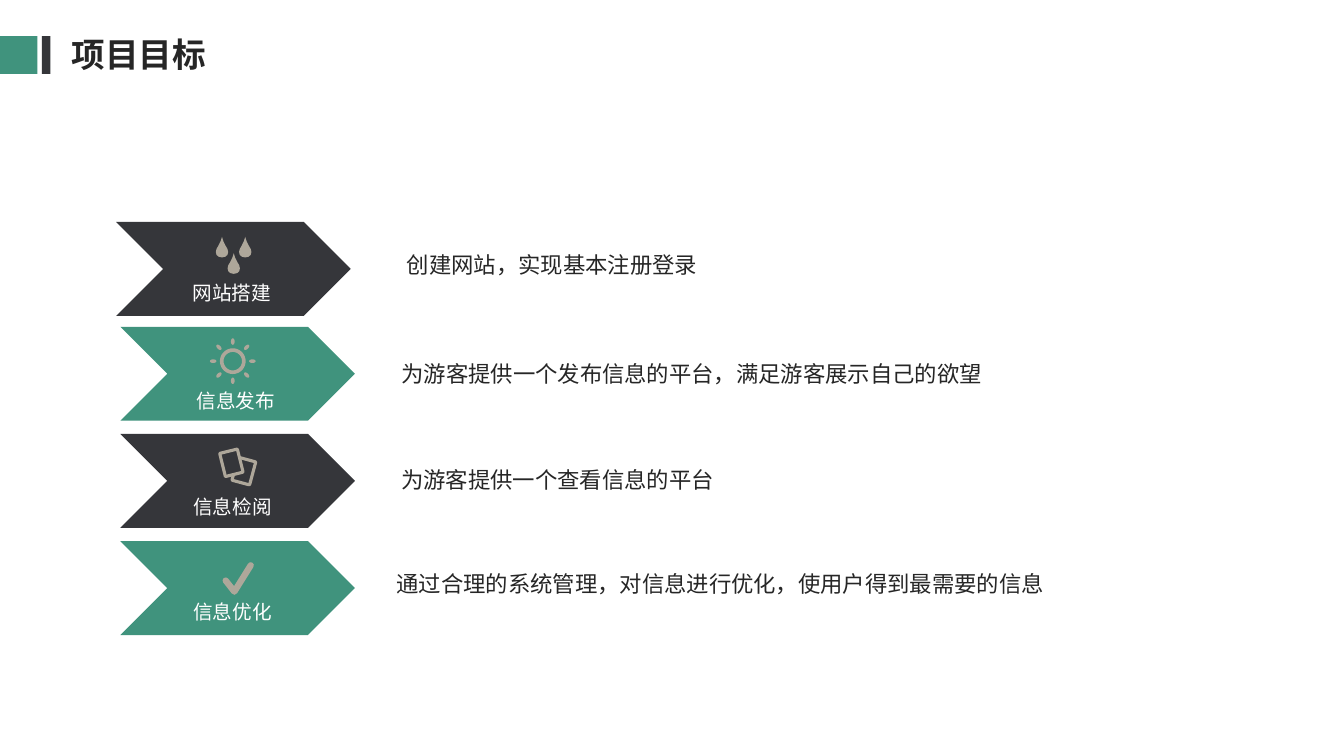
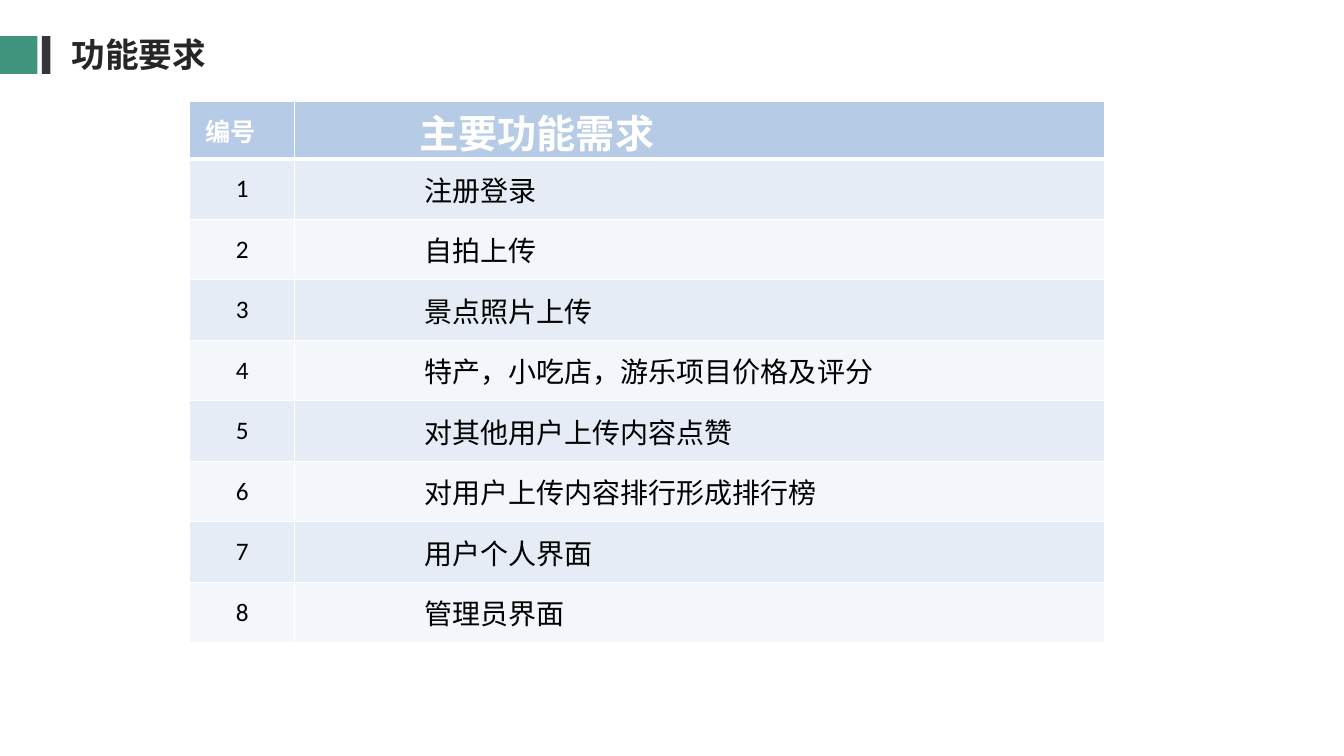
from math import cos, radians, sin

from lxml.etree import SubElement
from pptx import Presentation
from pptx.dml.color import RGBColor
from pptx.enum.shapes import MSO_SHAPE
from pptx.enum.text import MSO_ANCHOR, PP_ALIGN
from pptx.oxml import parse_xml
from pptx.oxml.ns import nsdecls, qn
from pptx.util import Pt

GREEN, DARK, INK = "40937D", "35363A", "262626"
WHITE, BLACK, ICON = "FFFFFF", "000000", "AEA79A"
HEADER_FILL, BAND_FILLS = "B6CBE6", ("E5ECF5", "F3F6FA")
CJK, LATIN = "Noto Sans CJK SC", "Calibri"


def paint(shape, fill=None, line=None, width=0):
    shape.shadow.inherit = False
    if fill:
        shape.fill.solid()
        shape.fill.fore_color.rgb = RGBColor.from_string(fill)
    else:
        shape.fill.background()
    if line:
        shape.line.color.rgb = RGBColor.from_string(line)
        shape.line.width = Pt(width)
    else:
        shape.line.fill.background()


def write(frame, text, size, color, face=CJK, bold=False):
    frame.word_wrap = True
    frame.vertical_anchor = MSO_ANCHOR.MIDDLE
    paragraph = frame.paragraphs[0]
    paragraph.text = text
    font = paragraph.font
    font.name, font.size, font.bold = face, Pt(size), bold
    font.color.rgb = RGBColor.from_string(color)
    east_asian = SubElement(paragraph.runs[0].font._element, qn("a:ea"))
    east_asian.set("typeface", face)
    return paragraph


deck = Presentation()
deck.slide_width, deck.slide_height = Pt(960), Pt(540)

# Shared heading: two bars and a title
slides = []
for title in ("项目目标", "功能要求"):
    slide = deck.slides.add_slide(deck.slide_layouts[6])
    for left, width, color in ((0, 26.8, GREEN), (30, 6, DARK)):
        bar = slide.shapes.add_shape(
            MSO_SHAPE.RECTANGLE, Pt(left), Pt(25.8), Pt(width), Pt(27))
        paint(bar, color)
    heading = slide.shapes.add_textbox(Pt(44), Pt(20.8), Pt(218), Pt(36))
    write(heading.text_frame, title, 24, INK, bold=True)
    slides.append(slide)
goals_slide, functions_slide = slides

# Goals: arrow, label and description per row
# label, goal, colour, arrow left and top, label left and middle, goal left and middle
goals = (
    ("网站搭建", "创建网站，实现基本注册登录",
     DARK, 83, 158.6, 130.6, 209.2, 281.7, 189.1),
    ("信息发布", "为游客提供一个发布信息的平台，满足游客展示自己的欲望",
     GREEN, 86, 233.5, 133.3, 286.3, 277.8, 266.9),
    ("信息检阅", "为游客提供一个查看信息的平台",
     DARK, 86, 310, 131, 362, 277.7, 342.7),
    ("信息优化", "通过合理的系统管理，对信息进行优化，使用户得到最需要的信息",
     GREEN, 86, 386.6, 131, 437, 274.3, 416.9),
)
shapes = goals_slide.shapes
for (label, goal, color, arrow_left, arrow_top,
     label_left, label_middle, goal_left, goal_middle) in goals:
    arrow = shapes.add_shape(
        MSO_SHAPE.CHEVRON, Pt(arrow_left), Pt(arrow_top), Pt(167.5), Pt(67))
    paint(arrow, color)
    caption = shapes.add_textbox(
        Pt(label_left), Pt(label_middle - 12), Pt(79), Pt(24))
    write(caption.text_frame, label, 14, WHITE)
    description = shapes.add_textbox(
        Pt(goal_left), Pt(goal_middle - 23), Pt(640), Pt(46))
    description.text_frame.margin_left = Pt(9)
    write(description.text_frame, goal, 16, INK)

# Icon: three drops
half_drop = ((0, 0), (1, 3.2), (2.6, 6.4), (3.9, 8.6),
             (4.4, 10.8), (3.9, 12.9), (2.4, 14.2), (0, 14.7))
drop_outline = half_drop + tuple((-x, y) for x, y in half_drop[-2:0:-1])
drops = [[(tip_x + x, tip_y + y) for x, y in drop_outline]
         for tip_x, tip_y in ((158.6, 169.2), (175.2, 169.2), (167, 180.9))]

# Icon: sun ring with eight rays
sun_x, sun_y = 166.3, 258
circle = [(cos(radians(a)), sin(radians(a))) for a in range(0, 360, 10)]
sun = [[(sun_x + radius * x, sun_y + radius * y) for x, y in outline]
       for radius, outline in ((9.2, circle), (6.6, circle[::-1]))]
for angle in range(0, 360, 45):
    along, across = cos(radians(angle)), sin(radians(angle))
    sun.append([(sun_x + (14 + 2.3 * x) * along - 1.3 * y * across,
                 sun_y + (14 + 2.3 * x) * across + 1.3 * y * along)
                for x, y in circle])

for contours in (drops, sun):
    start_x, start_y = contours[0][0]
    builder = shapes.build_freeform(Pt(start_x), Pt(start_y))
    for index, contour in enumerate(contours):
        points = [(Pt(x), Pt(y)) for x, y in contour]
        if index:
            builder.move_to(*points[0])
        builder.add_line_segments(points[1:], close=True)
    paint(builder.convert_to_shape(), ICON)

# Icon: two cards, the front one hiding part of the back one
for card_x, card_y, turn in ((174.2, 336.5, 15), (165.3, 330.6, -14)):
    card = shapes.add_shape(
        MSO_SHAPE.ROUNDED_RECTANGLE, Pt(card_x - 6.5), Pt(card_y - 8.5), Pt(13), Pt(17))
    card.adjustments[0] = 0.05
    card.rotation = turn
    paint(card, DARK, ICON, 2.25)

# Icon: check mark
builder = shapes.build_freeform(Pt(161.2), Pt(414.7))
builder.add_line_segments(
    [(Pt(167.4), Pt(422.6)), (Pt(179.1), Pt(403.8))], close=False)
check = builder.convert_to_shape()
paint(check, line=ICON, width=4.5)
check_line = check.line._get_or_add_ln()
check_line.set("cap", "rnd")
SubElement(check_line, qn("a:round"))

# Functions table
functions = ("注册登录", "自拍上传", "景点照片上传", "特产，小吃店，游乐项目价格及评分",
             "对其他用户上传内容点赞", "对用户上传内容排行形成排行榜", "用户个人界面", "管理员界面")
rows = [("编号", "主要功能需求")]
rows += [(str(number), name) for number, name in enumerate(functions, 1)]
table = functions_slide.shapes.add_table(
    len(rows), 2, Pt(135.6), Pt(72.4), Pt(653.5), Pt(387)).table
table.columns[0].width, table.columns[1].width = Pt(75), Pt(578.5)

for row_index, texts in enumerate(rows):
    is_header = row_index == 0
    table.rows[row_index].height = Pt(41 if is_header else 43.25)
    fill = HEADER_FILL if is_header else BAND_FILLS[(row_index - 1) % 2]
    for column, text in enumerate(texts):
        cell = table.cell(row_index, column)
        size = 18
        if column == 1:
            size, cell.margin_left = (28, Pt(89)) if is_header else (20, Pt(92.6))
            cell.margin_top = Pt(7.2)
            if is_header:
                cell.margin_bottom = 0
        elif is_header:
            cell.margin_left, cell.margin_top = Pt(11), Pt(7.2)
        paragraph = write(cell.text_frame, text, size,
                          WHITE if is_header else BLACK, LATIN, is_header)
        cell.vertical_anchor = MSO_ANCHOR.MIDDLE
        if column == 0 and not is_header:
            paragraph.alignment = PP_ALIGN.CENTER
        cell.fill.solid()
        cell.fill.fore_color.rgb = RGBColor.from_string(fill)

        # White cell borders, thicker under the header
        widths = {"L": 1, "R": 1, "T": 3 if row_index == 1 else 1,
                  "B": 3 if is_header else 1}
        for order, (side, width) in enumerate(widths.items()):
            border = parse_xml(
                f'<a:ln{side} {nsdecls("a")} w="{Pt(width)}"><a:solidFill>'
                f'<a:srgbClr val="{WHITE}"/></a:solidFill></a:ln{side}>')
            cell._tc.get_or_add_tcPr().insert(order, border)

deck.save("out.pptx")
